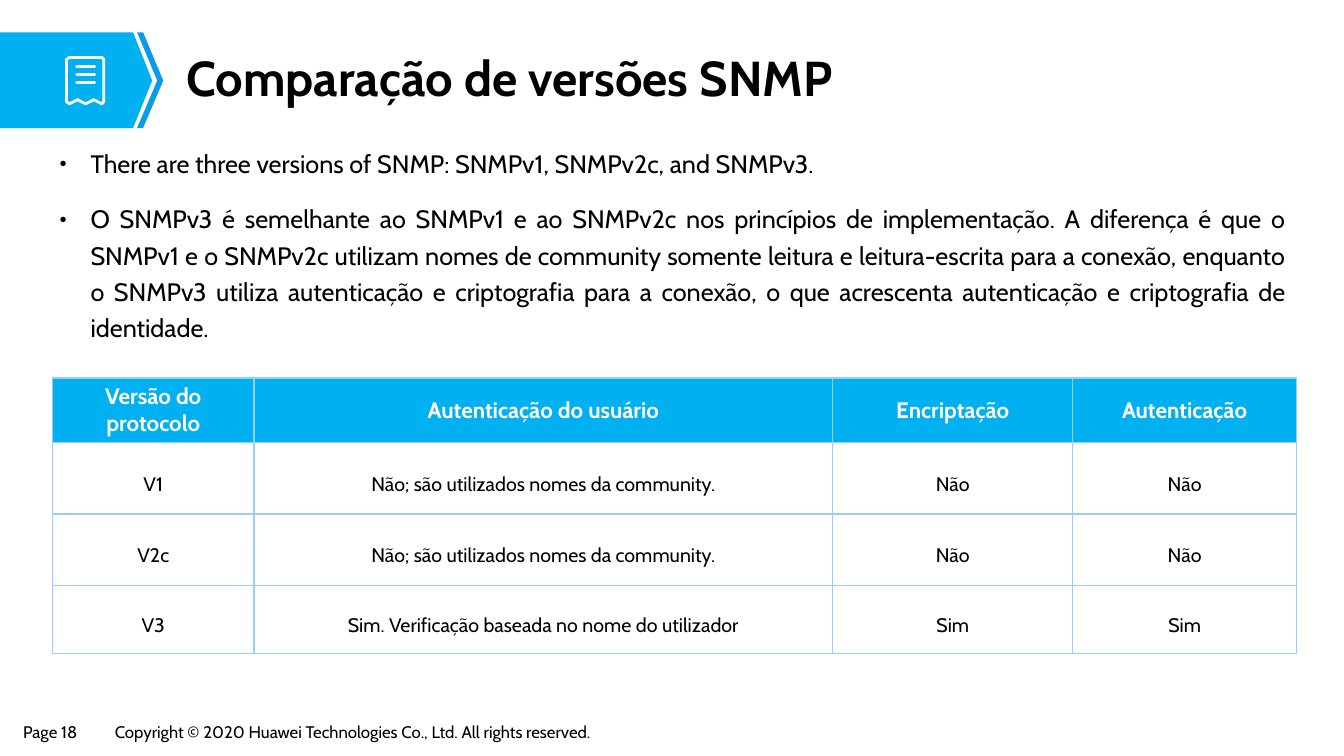
from lxml.etree import SubElement
from pptx import Presentation
from pptx.dml.color import RGBColor
from pptx.enum.shapes import MSO_CONNECTOR
from pptx.enum.text import MSO_ANCHOR, MSO_AUTO_SIZE, PP_ALIGN
from pptx.oxml import parse_xml
from pptx.oxml.ns import nsdecls, qn
from pptx.util import Pt

PX = 9144
COLORS = {
    "black": "000000",
    "white": "FFFFFF",
    "cyan": "00B0F0",
    "blue": "0B9CE5",
    "border": "99CCFF",
}
FORMATS = {
    "title": ({"size": Pt(35), "bold": True}, {"alignment": PP_ALIGN.LEFT, "line_spacing": 0.9}),
    "body": ({"size": Pt(18)}, {"alignment": PP_ALIGN.JUSTIFY, "line_spacing": 1.2, "space_after": Pt(6)}),
    "footer": ({"size": Pt(12)}, {"alignment": PP_ALIGN.LEFT}),
    "header": ({"size": Pt(16), "bold": True}, {"alignment": PP_ALIGN.CENTER}),
    "cell": ({"size": Pt(14), "bold": False}, {"alignment": PP_ALIGN.CENTER, "line_spacing": 1.5}),
}


def write(paragraph, text, style, color="black"):
    font_values, paragraph_values = FORMATS[style]
    run = paragraph.add_run()
    run.text = text
    run.font.color.rgb = RGBColor.from_string(COLORS[color])
    for name, value in {"name": "Cabin", **font_values}.items():
        setattr(run.font, name, value)
    for name, value in paragraph_values.items():
        setattr(paragraph, name, value)


def draw_outline(shapes, points):
    builder = shapes.build_freeform(*points[0], scale=float(PX))
    builder.add_line_segments(points[1:], close=True)
    shape = builder.convert_to_shape()
    shape.shadow.inherit = False
    return shape


presentation = Presentation()
presentation.slide_width = 1333 * PX
presentation.slide_height = 750 * PX
slide = presentation.slides.add_slide(presentation.slide_layouts[5])
shapes = slide.shapes

for left, width, text in [
    (13, 81, "Page 18"),
    (104, 541, "Copyright © 2020 Huawei Technologies Co., Ltd. All rights reserved."),
]:
    footer = shapes.add_textbox(left * PX, 711 * PX, width * PX, 29 * PX)
    footer.text_frame.word_wrap = False
    write(footer.text_frame.paragraphs[0], text, "footer")

for color, points in [
    ("cyan", [(0, 32), (132, 32), (151, 80), (132, 127), (0, 127)]),
    ("blue", [(136, 32), (142, 32), (162, 80), (142, 127), (136, 127), (156, 80)]),
]:
    banner = draw_outline(shapes, points)
    banner.fill.solid()
    banner.fill.fore_color.rgb = RGBColor.from_string(COLORS[color])
    banner.line.fill.background()

receipt = draw_outline(shapes, [
    (69, 57), (101, 57), (103, 59), (103, 101), (101, 103), (93, 99),
    (85, 103), (77, 99), (69, 103), (66, 101), (66, 59),
])
receipt.fill.background()
receipt_strokes = [receipt]
for y in range(66, 83, 8):
    stroke = shapes.add_connector(MSO_CONNECTOR.STRAIGHT, 76 * PX, y * PX, 94 * PX, y * PX)
    SubElement(stroke._element.spPr, qn("a:effectLst"))
    receipt_strokes.append(stroke)
for stroke in receipt_strokes:
    stroke.line.color.rgb = RGBColor.from_string(COLORS["white"])
    stroke.line.width = Pt(2)
    line = stroke.line._get_or_add_ln()
    line.set("cap", "rnd")
    SubElement(line, qn("a:round"))

body = shapes.add_textbox(49 * PX, 136 * PX, 1236 * PX, 220 * PX)
body.text_frame.word_wrap = True
for index, text in enumerate([
    "There are three versions of SNMP: SNMPv1, SNMPv2c, and SNMPv3.",
    "O SNMPv3 é semelhante ao SNMPv1 e ao SNMPv2c nos princípios de implementação. "
    "A diferença é que o SNMPv1 e o SNMPv2c utilizam nomes de community somente leitura "
    "e leitura-escrita para a conexão, enquanto o SNMPv3 utiliza autenticação e "
    "criptografia para a conexão, o que acrescenta autenticação e criptografia de identidade.",
]):
    paragraph = body.text_frame.add_paragraph() if index else body.text_frame.paragraphs[0]
    properties = paragraph._p.get_or_add_pPr()
    properties.set("marL", str(31 * PX))
    properties.set("indent", str(-31 * PX))
    SubElement(properties, qn("a:buSzPct"), val="50000")
    SubElement(properties, qn("a:buFont"), typeface="Arial")
    SubElement(properties, qn("a:buChar"), char="●")
    write(paragraph, text, "body")
    if index:
        paragraph.space_before = Pt(7.9)

title = shapes.title
for name, value in {"left": 174, "top": 45, "width": 1075, "height": 70}.items():
    setattr(title, name, value * PX)
title_frame = title.text_frame
for name, value in {
    "margin_left": 11 * PX, "margin_right": 11 * PX,
    "margin_top": 6 * PX, "margin_bottom": 6 * PX,
    "vertical_anchor": MSO_ANCHOR.MIDDLE,
    "auto_size": MSO_AUTO_SIZE.NONE, "word_wrap": True,
}.items():
    setattr(title_frame, name, value)
write(title_frame.paragraphs[0], "Comparação de versões SNMP", "title")

versions = [
    ["Versão do protocolo", "Autenticação do usuário", "Encriptação", "Autenticação"],
    ["V1", "Não; são utilizados nomes da community.", "Não", "Não"],
    ["V2c", "Não; são utilizados nomes da community.", "Não", "Não"],
    ["V3", "Sim. Verificação baseada no nome do utilizador", "Sim", "Sim"],
]
column_widths = [200, 574, 238, 222]
row_heights = [64, 71, 71, 67]
table = shapes.add_table(
    len(row_heights), len(column_widths), 52 * PX, 375 * PX,
    sum(column_widths) * PX, sum(row_heights) * PX,
).table
for column, width in zip(table.columns, column_widths):
    column.width = width * PX
for row_index, (row, height, texts) in enumerate(zip(table.rows, row_heights, versions)):
    row.height = height * PX
    for cell, text in zip(row.cells, texts):
        cell.vertical_anchor = MSO_ANCHOR.MIDDLE
        if row_index == 0:
            cell.fill.solid()
            cell.fill.fore_color.rgb = RGBColor.from_string(COLORS["cyan"])
            write(cell.text_frame.paragraphs[0], text, "header", "white")
        else:
            cell.fill.background()
            write(cell.text_frame.paragraphs[0], text, "cell")
        for position, side in enumerate(["lnL", "lnR", "lnT", "lnB"]):
            border = parse_xml(
                f'<a:{side} {nsdecls("a")} w="{Pt(1)}"><a:solidFill>'
                f'<a:srgbClr val="{COLORS["border"]}"/></a:solidFill></a:{side}>'
            )
            cell._tc.get_or_add_tcPr().insert(position, border)

presentation.save("out.pptx")
